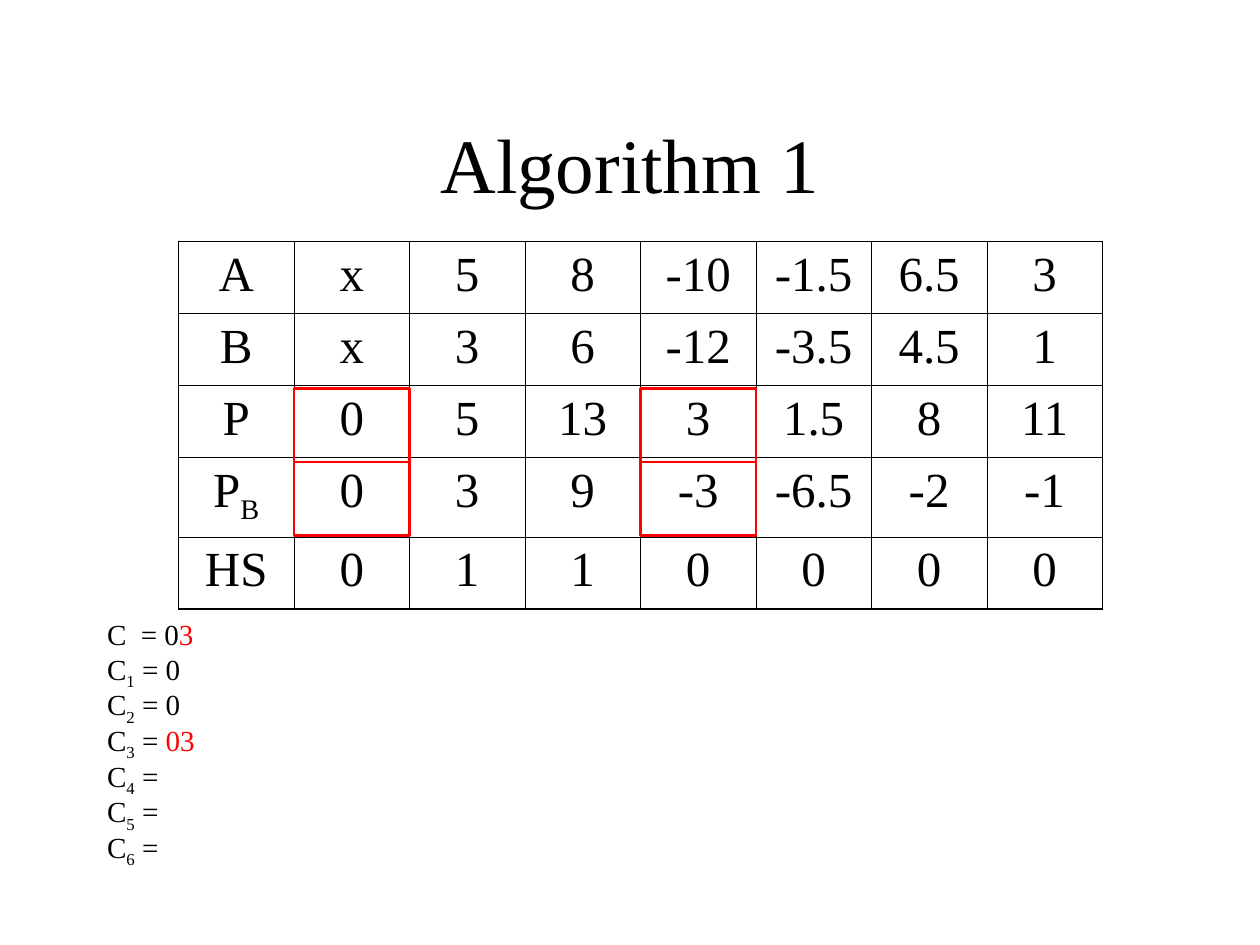
from dataclasses import dataclass
from lxml.etree import SubElement
from pptx import Presentation
from pptx.dml.color import RGBColor
from pptx.enum.shapes import MSO_SHAPE
from pptx.enum.text import MSO_ANCHOR, MSO_AUTO_SIZE, PP_ALIGN
from pptx.oxml.ns import qn
from pptx.util import Inches, Pt

UNIT = Inches(1) / 12
FONT = "Times New Roman"
HUES = {"ink": "000000", "mark": "FF0000"}
COLS, WIDE, HIGH = 8, 11, 7
ROWS = [6.85, 6.85, 6.85, 7.6, 6.85]
THIN, THICK = 0.45, 1.08


@dataclass
class Bit:
    text: str
    low: bool = False
    hue: str = "ink"


@dataclass
class Area:
    left: float
    top: float
    width: float
    height: float

    def emu(self) -> list[int]:
        return [size(n) for n in (self.left, self.top, self.width, self.height)]


TITLE = Area(9, 8, 102, 15)
LIST = Area(9, 59, 102, 26)
GRID = Area(17, 23, COLS * WIDE, sum(ROWS))
BOXES = [Area(GRID.left + col * WIDE, 37 + row * HIGH, WIDE, HIGH)
         for row in range(2) for col in (1, 4)]

DATA = [
    ([Bit("A")], "x 5 8 -10 -1.5 6.5 3"),
    ([Bit("B")], "x 3 6 -12 -3.5 4.5 1"),
    ([Bit("P")], "0 5 13 3 1.5 8 11"),
    ([Bit("P"), Bit("B", low=True)], "0 3 9 -3 -6.5 -2 -1"),
    ([Bit("HS")], "0 1 1 0 0 0 0"),
]
SETS = [[Bit(" = 0")], [Bit(" = 0")], [Bit(" = "), Bit("03", hue="mark")],
        [Bit(" =")], [Bit(" =")], [Bit(" =")]]
LINES = [[Bit("C  = 0"), Bit("3", hue="mark")]] + [
    [Bit("C"), Bit(str(num), low=True), *rest]
    for num, rest in enumerate(SETS, 1)]


def size(units: float) -> int:
    return round(units * UNIT)


def tint(name: str) -> RGBColor:
    return RGBColor.from_string(HUES[name])


def place(shape, area: Area) -> None:
    shape.left, shape.top, shape.width, shape.height = area.emu()


def write(para, bits: list[Bit], points: float, align=PP_ALIGN.LEFT) -> None:
    para.alignment = align
    para.font.name, para.font.size = FONT, Pt(points)
    para.font.color.rgb = tint("ink")
    for bit in bits:
        run = para.add_run()
        run.text = bit.text
        if bit.hue != "ink":
            run.font.color.rgb = tint(bit.hue)
        if bit.low:
            run.font._element.set("baseline", "-25000")


def edge(cell, side: str, points: float) -> None:
    line = SubElement(cell._tc.get_or_add_tcPr(), qn(f"a:ln{side}"), w=str(Pt(points)))
    fill = SubElement(line, qn("a:solidFill"))
    SubElement(fill, qn("a:srgbClr"), val=HUES["ink"])


def add_title(slide) -> None:
    title = slide.shapes.title
    place(title, TITLE)
    title.text_frame.vertical_anchor = MSO_ANCHOR.MIDDLE
    write(title.text_frame.paragraphs[0], [Bit("Algorithm 1")], 44, PP_ALIGN.CENTER)


def add_list(slide) -> None:
    body = slide.placeholders[1]
    place(body, LIST)
    frame = body.text_frame
    frame.auto_size = MSO_AUTO_SIZE.NONE
    for num, bits in enumerate(LINES):
        para = frame.add_paragraph() if num else frame.paragraphs[0]
        para.line_spacing = 0.7
        para.space_before = Pt(4.5 if num else 0)
        props = para._p.get_or_add_pPr()
        props.set("marL", str(Inches(0.38)))
        props.set("indent", str(-Inches(0.38)))
        SubElement(props, qn("a:buNone"))
        write(para, bits, 16.6)


def add_grid(slide) -> None:
    table = slide.shapes.add_table(len(ROWS), COLS, *GRID.emu()).table
    table.first_row = table.horz_banding = False
    for col in table.columns:
        col.width = size(WIDE)
    for row, (head, rest) in enumerate(DATA):
        table.rows[row].height = size(ROWS[row])
        for col, bits in enumerate([head] + [[Bit(word)] for word in rest.split()]):
            cell = table.cell(row, col)
            outer = {"L": col == 0, "R": col == COLS - 1,
                     "T": row == 0, "B": row == len(ROWS) - 1}
            for side, rim in outer.items():
                edge(cell, side, THICK if rim else THIN)
            cell.fill.background()
            write(cell.text_frame.paragraphs[0], bits, 28, PP_ALIGN.CENTER)


def add_box(slide, area: Area) -> None:
    box = slide.shapes.add_shape(MSO_SHAPE.RECTANGLE, *area.emu())
    box.shadow.inherit = False
    box.fill.background()
    box.line.color.rgb = tint("mark")
    box.line.width = Pt(1.5)


def main() -> None:
    deck = Presentation()
    deck.slide_width, deck.slide_height = Inches(10), Inches(7.5)
    slide = deck.slides.add_slide(deck.slide_layouts[1])
    add_title(slide)
    add_list(slide)
    add_grid(slide)
    for area in BOXES:
        add_box(slide, area)
    deck.save("out.pptx")


if __name__ == "__main__":
    main()
